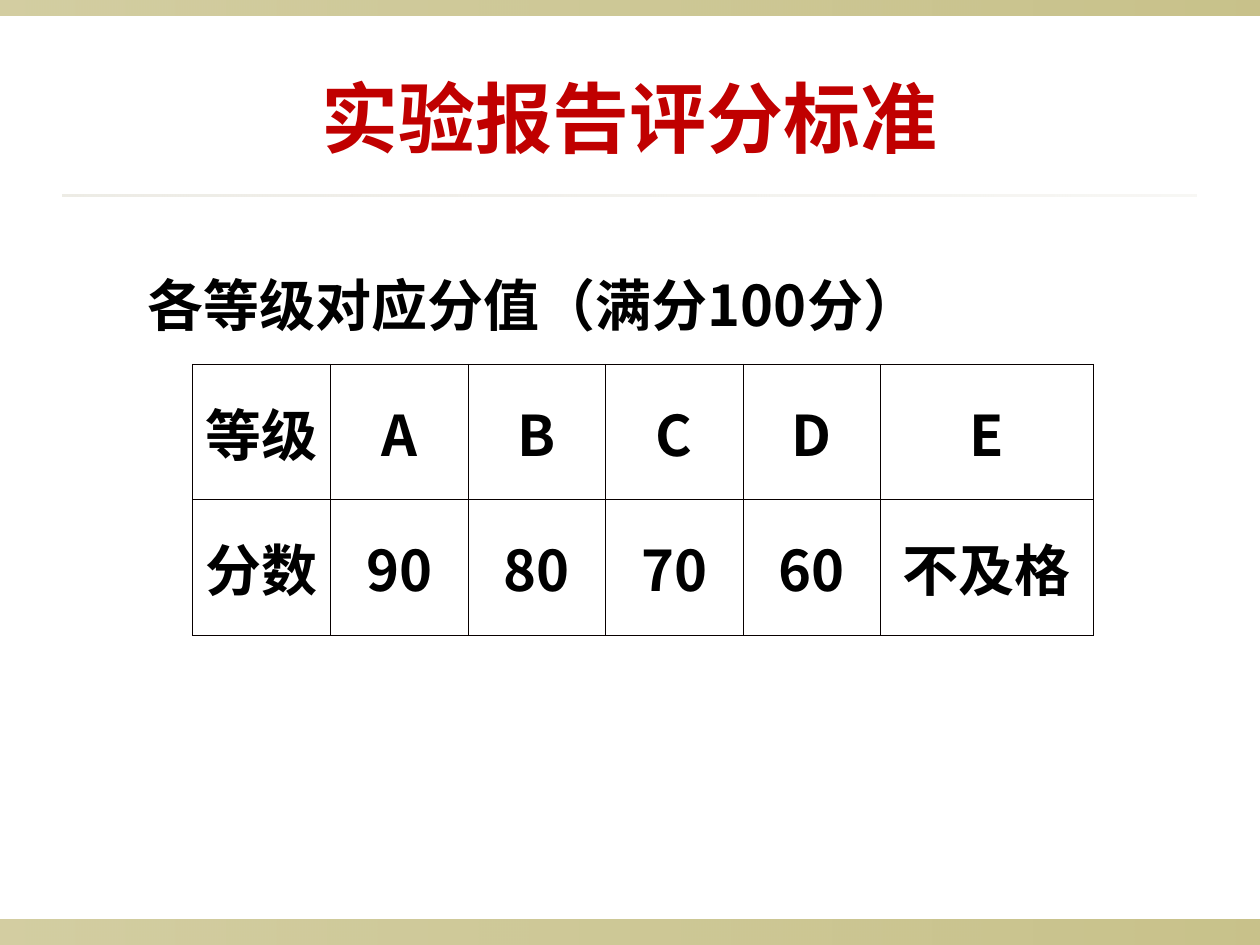
import pptx
import pptx.dml.color
import pptx.enum.shapes
import pptx.enum.text
import pptx.oxml
import pptx.oxml.ns
import pptx.util
from lxml import etree

Inches = pptx.util.Inches
COLORS = {
    "band": "918415",
    "rule": "DCD9CC",
    "title": "C00000",
    "text": "000000",
    "border": "080000",
}
LATIN_FONT = "Arial"
CHINESE_FONT = "Noto Sans CJK SC"
GRADES = [
    ["等级", "A", "B", "C", "D", "E"],
    ["分数", "90", "80", "70", "60", "不及格"],
]


def rgb(name):
    return pptx.dml.color.RGBColor.from_string(COLORS[name])


def format_run(run, size, color, font_name):
    run.font.size = pptx.util.Pt(size)
    run.font.bold = True
    run.font.color.rgb = rgb(color)
    run.font.name = font_name
    properties = run.font._element
    east_asian = etree.SubElement(properties, pptx.oxml.ns.qn("a:ea"))
    east_asian.set("typeface", CHINESE_FONT)


def set_margins(target, horizontal, vertical):
    target.margin_left = target.margin_right = Inches(horizontal)
    target.margin_top = target.margin_bottom = Inches(vertical)


def add_gradient_bar(slide, box, color, opacities):
    shape = slide.shapes.add_shape(
        pptx.enum.shapes.MSO_SHAPE.RECTANGLE, *map(Inches, box))
    shape.shadow.inherit = False
    shape.line.fill.background()
    shape.fill.gradient()
    shape.fill.gradient_angle = 0
    for stop, opacity in zip(shape.fill.gradient_stops, opacities):
        stop.color.rgb = rgb(color)
    color_tag = pptx.oxml.ns.qn("a:srgbClr")
    for element, opacity in zip(shape._element.spPr.iter(color_tag), opacities):
        alpha = etree.SubElement(element, pptx.oxml.ns.qn("a:alpha"))
        alpha.set("val", str(opacity * 1000))


def add_title(slide, box):
    title = slide.shapes.title
    title.left, title.top, title.width, title.height = map(Inches, box)
    text_frame = title.text_frame
    text_frame.text = "实验报告评分标准"
    text_frame.vertical_anchor = pptx.enum.text.MSO_ANCHOR.MIDDLE
    set_margins(text_frame, 0.1, 0.05)
    paragraph = text_frame.paragraphs[0]
    paragraph.alignment = pptx.enum.text.PP_ALIGN.CENTER
    format_run(paragraph.runs[0], 44, "title", LATIN_FONT)


def add_heading(slide, box):
    text_frame = slide.shapes.add_textbox(*map(Inches, box)).text_frame
    text_frame.word_wrap = True
    set_margins(text_frame, 0.1, 0.05)
    paragraph = text_frame.paragraphs[0]
    parts = [
        ("各等级对应分值（满分", LATIN_FONT),
        ("100", CHINESE_FONT),
        ("分）", LATIN_FONT),
    ]
    for text, font_name in parts:
        run = paragraph.add_run()
        run.text = text
        format_run(run, 32, "text", font_name)


def add_cell_borders(cell):
    properties = cell._tc.get_or_add_tcPr()
    for side in ("L", "R", "T", "B"):
        properties.append(pptx.oxml.parse_xml(
            f'<a:ln{side} {pptx.oxml.ns.nsdecls("a")} w="{pptx.util.Pt(0.45)}">'
            f'<a:solidFill><a:srgbClr val="{COLORS["border"]}"/></a:solidFill>'
            f'</a:ln{side}>'))


def fill_cell(cell, text):
    cell.text = text
    cell.vertical_anchor = pptx.enum.text.MSO_ANCHOR.MIDDLE
    set_margins(cell, 0.08, 0.05)
    add_cell_borders(cell)
    cell.fill.background()
    paragraph = cell.text_frame.paragraphs[0]
    paragraph.alignment = pptx.enum.text.PP_ALIGN.CENTER
    format_run(paragraph.runs[0], 32, "text", CHINESE_FONT)


def add_grade_table(slide, box, last_column_width):
    row_count, column_count = len(GRADES), len(GRADES[0])
    table = slide.shapes.add_table(
        row_count, column_count, *map(Inches, box)).table
    table.first_row = False
    table.horz_banding = False
    column_width = (box[2] - last_column_width) / (column_count - 1)
    for column in table.columns:
        column.width = Inches(column_width)
    table.columns[column_count - 1].width = Inches(last_column_width)
    for row, values in zip(table.rows, GRADES):
        row.height = Inches(box[3] / row_count)
        for cell, value in zip(row.cells, values):
            fill_cell(cell, value)


def main():
    presentation = pptx.Presentation()
    presentation.slide_width = Inches(10)
    presentation.slide_height = Inches(7.5)
    slide = presentation.slides.add_slide(presentation.slide_layouts[5])
    add_gradient_bar(slide, (0, 7.3, 10, 0.2), "band", (40, 50))
    add_gradient_bar(slide, (0, 0, 10, 0.12), "band", (40, 50))
    add_gradient_bar(slide, (0.5, 1.54, 9, 0.02), "rule", (50, 20))
    add_title(slide, (0.5, 0.3, 9, 1.25))
    add_heading(slide, (1.07, 2.1, 6.57, 1.17))
    add_grade_table(slide, (1.53, 2.89, 7.15, 2.15), 1.69)
    presentation.save("out.pptx")


if __name__ == "__main__":
    main()
